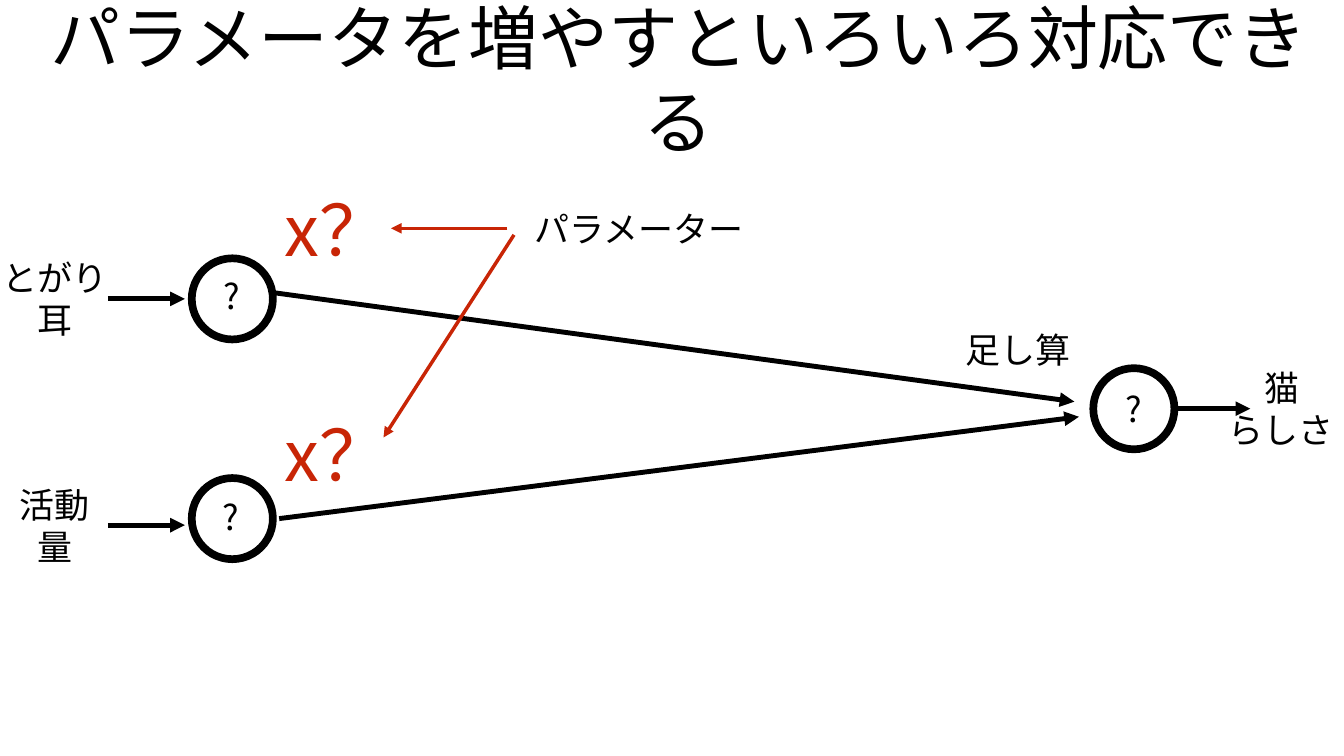
"""Draw a two-input network whose weights are the parameters."""
import dataclasses
import typing

import lxml.etree
import pptx
import pptx.dml.color
import pptx.enum.shapes
import pptx.enum.text
import pptx.oxml.ns
import pptx.util

Point = tuple[float, float]


@dataclasses.dataclass(frozen=True)
class Theme:
    font: str = "Noto Sans CJK JP"
    ink: str = "000000"
    red: str = "C82506"
    body: int = 50
    big: int = 100
    ring: int = 11
    link: int = 7
    hint: int = 5


class Label(typing.NamedTuple):
    lines: tuple[str, ...]
    mid: Point
    width: float
    size: int
    color: str


class Arrow(typing.NamedTuple):
    start: Point
    end: Point
    weight: int
    color: str


THEME = Theme()
WIDE, HIGH = 26.67, 15
COLS, ROWS = 26.67, 15
NODE = 1.61
PAD = 0.08
TALL = {(THEME.body, 1): 0.85, (THEME.body, 2): 1.89, (THEME.big, 1): 1.55}

LEFT, RIGHT = 4.61, 22.5
EAR, MOVE, SUM = 5.93, 10.29, 8.11
FLOW = 10.42
HINT = 4.53

NODES = [(LEFT, EAR), (LEFT, MOVE), (RIGHT, SUM)]

LINKS = [
    Arrow((2.14, EAR), (3.67, EAR), THEME.link, THEME.ink),
    Arrow((2.14, FLOW), (3.67, FLOW), THEME.link, THEME.ink),
    Arrow((23.29, SUM), (24.81, SUM), THEME.link, THEME.ink),
    Arrow((5.45, 5.81), (21.32, 7.97), THEME.link, THEME.ink),
    Arrow((5.54, MOVE), (21.41, 8.27), THEME.link, THEME.ink),
]

HINTS = [
    Arrow((10.07, HINT), (7.76, HINT), THEME.hint, THEME.red),
    Arrow((10.2, 4.66), (7.61, 8.68), THEME.hint, THEME.red),
]

LABELS = [
    Label(("とがり", "耳"), (1.1, EAR), 2.25, THEME.body, THEME.ink),
    Label(("活動", "量"), (1.09, FLOW), 1.56, THEME.body, THEME.ink),
    Label(("猫", "らしさ"), (25.43, SUM), 2.25, THEME.body, THEME.ink),
    *(Label(("?",), mid, 0.57, THEME.body, THEME.ink)
      for mid in [(4.6, 5.87), (4.58, 10.25), (RIGHT, SUM)]),
    *(Label(("x？",), (6.69, row), 2.3, THEME.big, THEME.red)
      for row in (HINT, 9)),
    Label(("足し算",), (20.2, 6.94), 2.25, THEME.body, THEME.ink),
    Label(("パラメータを増やすといろいろ対応できる",), (13.47, 1.55), 26.46,
          THEME.big, THEME.ink),
    Label(("パラメーター",), (12.69, HINT), 4.31, THEME.body, THEME.ink),
]


def across(cols: float) -> int:
    """Turn grid columns into a length."""
    return pptx.util.Inches(cols * WIDE / COLS)


def down(rows: float) -> int:
    """Turn grid rows into a length."""
    return pptx.util.Inches(rows * HIGH / ROWS)


def frame(mid: Point, width: float, height: float) -> tuple[int, ...]:
    """Give the box of a size around a centre."""
    col, row = mid
    return (across(col - width / 2), down(row - height / 2),
            across(width), down(height))


def paint(line: typing.Any, color: str, weight: int) -> None:
    """Set the colour and weight of a line."""
    line.color.rgb = pptx.dml.color.RGBColor.from_string(color)
    line.width = pptx.util.Pt(weight)


def add_node(slide: typing.Any, mid: Point) -> None:
    """Draw one open ring."""
    kind = pptx.enum.shapes.MSO_SHAPE.OVAL
    ring = slide.shapes.add_shape(kind, *frame(mid, NODE, NODE))
    ring.shadow.inherit = False
    ring.fill.background()
    paint(ring.line, THEME.ink, THEME.ring)


def add_arrow(slide: typing.Any, arrow: Arrow) -> None:
    """Draw one straight arrow."""
    (col, row), (far, low) = arrow.start, arrow.end
    kind = pptx.enum.shapes.MSO_CONNECTOR.STRAIGHT
    link = slide.shapes.add_connector(
        kind, across(col), down(row), across(far), down(low))
    paint(link.line, arrow.color, arrow.weight)
    qn = pptx.oxml.ns.qn
    props = link.line._get_or_add_ln()
    lxml.etree.SubElement(props, qn("a:tailEnd"), type="triangle")
    lxml.etree.SubElement(link._element.spPr, qn("a:effectLst"))


def add_label(slide: typing.Any, label: Label) -> None:
    """Write one centred label."""
    height = TALL[label.size, len(label.lines)]
    box = slide.shapes.add_textbox(*frame(label.mid, label.width, height))
    text = box.text_frame
    text.word_wrap = False
    text.auto_size = pptx.enum.text.MSO_AUTO_SIZE.SHAPE_TO_FIT_TEXT
    text.vertical_anchor = pptx.enum.text.MSO_ANCHOR.MIDDLE
    text.margin_left = text.margin_right = across(PAD)
    text.margin_top = text.margin_bottom = down(PAD)
    for spot, words in enumerate(label.lines):
        para = text.add_paragraph() if spot else text.paragraphs[0]
        para.alignment = pptx.enum.text.PP_ALIGN.CENTER
        run = para.add_run()
        run.text = words
        run.font.name = THEME.font
        run.font.size = pptx.util.Pt(label.size)
        run.font.color.rgb = pptx.dml.color.RGBColor.from_string(label.color)
        props = run.font._element
        lxml.etree.SubElement(
            props, pptx.oxml.ns.qn("a:ea"), typeface=THEME.font)


def main() -> None:
    """Build and save the slide."""
    deck = pptx.Presentation()
    deck.slide_width = pptx.util.Inches(WIDE)
    deck.slide_height = pptx.util.Inches(HIGH)
    slide = deck.slides.add_slide(deck.slide_layouts[6])
    for mid in NODES:
        add_node(slide, mid)
    for arrow in LINKS:
        add_arrow(slide, arrow)
    for label in LABELS:
        add_label(slide, label)
    for arrow in HINTS:
        add_arrow(slide, arrow)
    deck.save("out.pptx")


if __name__ == "__main__":
    main()
